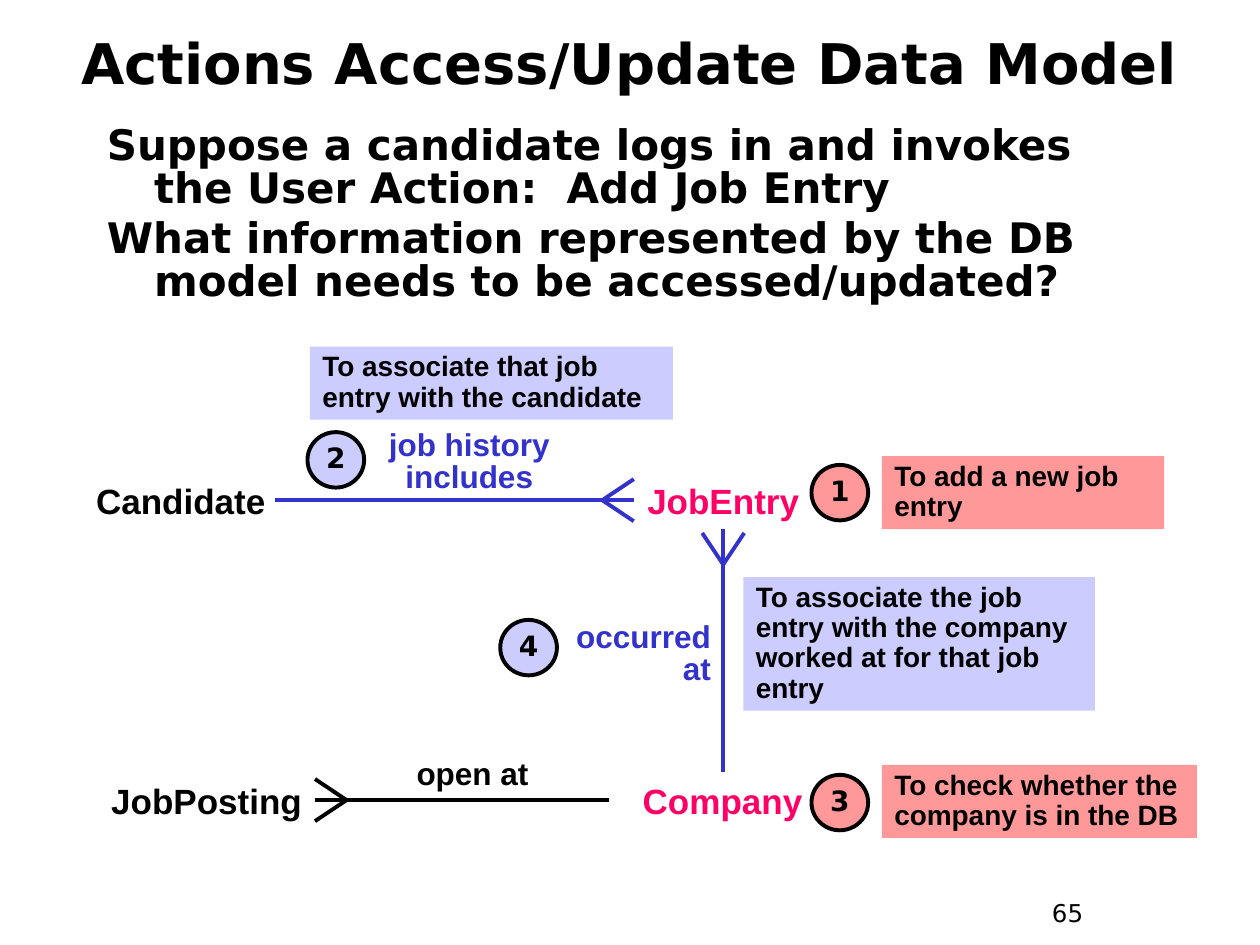
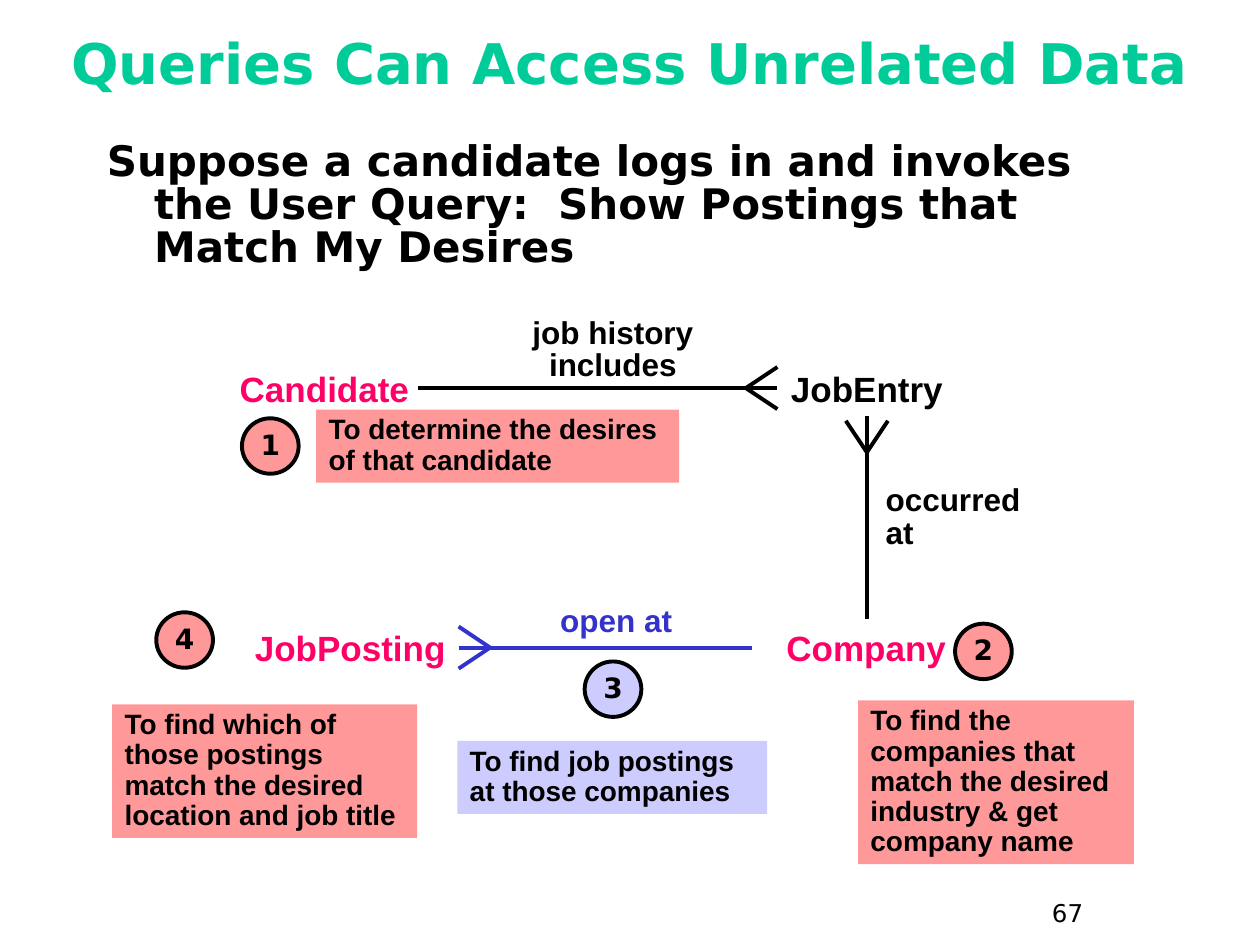
from dataclasses import dataclass
from typing import NamedTuple, Optional

from lxml import etree
from pptx import Presentation, util as u
from pptx.dml.color import RGBColor
from pptx.enum import shapes, text
from pptx.oxml import ns

# The slide is a grid of 100 columns by 75 rows; all lengths count cells.
SLIDE_WIDTH = u.Inches(10)
SLIDE_HEIGHT = u.Inches(7.5)
CELL = SLIDE_WIDTH / 100
INSET_X, INSET_Y = 1, 0.5
LEFT, CENTER, RIGHT = text.PP_ALIGN.LEFT, text.PP_ALIGN.CENTER, text.PP_ALIGN.RIGHT


class Box(NamedTuple):
    left: float
    top: float
    width: float
    height: float


class Point(NamedTuple):
    x: float
    y: float


@dataclass(frozen=True)
class TextStyle:
    size: float
    font: str = "Arial"
    bold: bool = True
    align: text.PP_ALIGN = LEFT
    line_spacing: float = 1.0
    space_before: float = 0
    middle: bool = False
    wrap: bool = True
    hanging: float = 0


@dataclass(frozen=True)
class Theme:
    ink: str = "000000"
    paper: str = "FFFFFF"
    accent_title: str = "00CC99"
    entity_used: str = "FF0066"
    link_used: str = "3333CC"
    entity_note: str = "FF9999"
    link_note: str = "CCCCFF"
    line_width: float = 2.25
    title: TextStyle = TextStyle(32, "DejaVu Sans", align=CENTER, middle=True)
    body: TextStyle = TextStyle(24, "DejaVu Sans", line_spacing=0.85,
                                space_before=4.5, hanging=3.75)
    page: TextStyle = TextStyle(14, "DejaVu Sans", bold=False, space_before=8.8)
    entity: TextStyle = TextStyle(20, align=CENTER, space_before=12.5,
                                  middle=True, wrap=False)
    label: TextStyle = TextStyle(18, align=CENTER, line_spacing=0.85, space_before=11.2)
    label_left: TextStyle = TextStyle(18, line_spacing=0.85, space_before=11.2)
    label_right: TextStyle = TextStyle(18, align=RIGHT, line_spacing=0.85,
                                       space_before=11.2)
    badge: TextStyle = TextStyle(16, "DejaVu Sans", align=CENTER, line_spacing=0.9,
                                 middle=True, wrap=False)
    note: TextStyle = TextStyle(16, line_spacing=0.9, space_before=10)


THEME = Theme()


@dataclass(frozen=True)
class Step:
    """A numbered badge with the note that explains it."""
    number: int
    badge: Point
    note: Box
    reason: str
    on_link: bool = False


@dataclass(frozen=True)
class DataModel:
    """Placement of the entity diagram and the names it highlights."""
    left: float
    top_axis: float
    bottom_axis: float
    occurred_box: Box
    occurred_style: TextStyle
    used: frozenset[str]


@dataclass(frozen=True)
class ModelSlide:
    title: str
    title_color: str
    body_box: Box
    body: tuple[str, ...]
    model: DataModel
    steps: tuple[Step, ...]
    page: int


def cells(count: float) -> u.Emu:
    return u.Emu(round(count * CELL))


def write(shape, content: tuple[str, ...], style: TextStyle, color: str) -> None:
    """Fill a shape with paragraphs; a newline becomes a line break."""
    frame = shape.text_frame
    frame.word_wrap = style.wrap
    frame.margin_left = frame.margin_right = cells(INSET_X)
    frame.margin_top = frame.margin_bottom = cells(INSET_Y)
    anchor = text.MSO_ANCHOR
    frame.vertical_anchor = anchor.MIDDLE if style.middle else anchor.TOP
    for index, words in enumerate(content):
        paragraph = frame.add_paragraph() if index else frame.paragraphs[0]
        paragraph.alignment = style.align
        paragraph.line_spacing = style.line_spacing
        paragraph.space_before = u.Pt(style.space_before)
        if style.hanging:
            properties = paragraph._p.get_or_add_pPr()
            properties.set("marL", str(cells(style.hanging)))
            properties.set("indent", str(-cells(style.hanging)))
        for number, line in enumerate(words.split("\n")):
            if number:
                paragraph.add_line_break()
            run = paragraph.add_run()
            run.text = line
            run.font.name = style.font
            run.font.size = u.Pt(style.size)
            run.font.bold = style.bold
            run.font.color.rgb = RGBColor.from_string(color)


def add_text(slide, box: Box, content: tuple[str, ...], style: TextStyle,
             color: str = THEME.ink) -> None:
    write(slide.shapes.add_textbox(*map(cells, box)), content, style, color)


def add_filled(slide, kind: shapes.MSO_SHAPE, box: Box, words: str, style: TextStyle,
               fill: str, color: str = THEME.ink, outline: Optional[str] = None) -> None:
    shape = slide.shapes.add_shape(kind, *map(cells, box))
    shape.shadow.inherit = False
    shape.fill.solid()
    shape.fill.fore_color.rgb = RGBColor.from_string(fill)
    if outline:
        shape.line.color.rgb = RGBColor.from_string(outline)
        shape.line.width = u.Pt(THEME.line_width)
    else:
        shape.line.fill.background()
    write(shape, (words,), style, color)


def add_line(slide, start: Point, end: Point, color: str) -> None:
    line = slide.shapes.add_connector(shapes.MSO_CONNECTOR.STRAIGHT,
                                      *map(cells, (*start, *end)))
    line.line.color.rgb = RGBColor.from_string(color)
    line.line.width = u.Pt(THEME.line_width)
    etree.SubElement(line._element.spPr, ns.qn("a:effectLst"))


def add_crow_foot(slide, tip: Point, direction: Point, color: str) -> None:
    """Two toes that spread from the tip along a unit direction."""
    length, spread = 2.5, 1.67
    for side in (-spread, spread):
        toe = Point(tip.x + direction.x * length + direction.y * side,
                    tip.y + direction.y * length + direction.x * side)
        add_line(slide, tip, toe, color)


def draw_model(slide, model: DataModel) -> None:
    left, top, bottom = model.left, model.top_axis, model.bottom_axis

    # Entities
    entities = {
        "Candidate": Box(left, top - 2.25, 14.9, 4.5),
        "JobPosting": Box(left + 0.9, bottom - 2.8, 17.2, 5.6),
        "JobEntry": Box(left + 43.4, top - 2.25, 14.2, 4.5),
        "Company": Box(left + 41.4, bottom - 2.25, 18.1, 4.5),
    }
    for name, box in entities.items():
        color = THEME.entity_used if name in model.used else THEME.ink
        add_filled(slide, shapes.MSO_SHAPE.RECTANGLE, box, name, THEME.entity,
                   THEME.paper, color)

    # Relationships: start, end, crow's foot tip and direction, label
    candidate, posting, entry, company = entities.values()
    entry_x = entry.left + entry.width / 2
    posting_edge = posting.left + posting.width
    links = (
        (Point(candidate.left + candidate.width, top), Point(entry.left, top),
         Point(entry.left - 2.5, top), Point(1, 0),
         "job history includes", Box(left + 18.7, top - 6, 23.3, 6.1), THEME.label),
        (Point(posting_edge, bottom), Point(company.left, bottom),
         Point(posting_edge + 2.5, bottom), Point(-1, 0),
         "open at", Box(left + 22, bottom - 3.7, 17.2, 3.6), THEME.label),
        (Point(entry_x, top + 2.25), Point(entry_x, company.top),
         Point(entry_x, top + 5.1), Point(0, -1),
         "occurred\nat", model.occurred_box, model.occurred_style),
    )
    for start, end, tip, direction, label, box, style in links:
        color = THEME.link_used if label in model.used else THEME.ink
        add_line(slide, start, end, color)
        add_crow_foot(slide, tip, direction, color)
        add_text(slide, box, (label,), style, color)


def draw_step(slide, step: Step) -> None:
    fill = THEME.link_note if step.on_link else THEME.entity_note
    add_filled(slide, shapes.MSO_SHAPE.OVAL, Box(*step.badge, 4.5, 4.4),
               str(step.number), THEME.badge, fill, outline=THEME.ink)
    add_filled(slide, shapes.MSO_SHAPE.RECTANGLE, step.note, step.reason,
               THEME.note, fill)


def draw_slide(presentation, content: ModelSlide) -> None:
    slide = presentation.slides.add_slide(presentation.slide_layouts[6])
    add_text(slide, Box(82.5, 70.8, 7.5, 3.7), (str(content.page),), THEME.page)
    add_text(slide, Box(3.33, 0.8, 93.33, 8.3), (content.title,), THEME.title,
             content.title_color)
    add_text(slide, content.body_box, content.body, THEME.body)
    draw_model(slide, content.model)
    for step in content.steps:
        draw_step(slide, step)


SLIDES = (
    ModelSlide(
        "Actions Access/Update Data Model", THEME.ink,
        Box(7.5, 9.5, 85, 55.8),
        ("Suppose a candidate logs in and invokes\nthe User Action:  Add Job Entry",
         "What information represented by the DB model needs to be accessed/updated?"),
        DataModel(6.9, 39.7, 63.5, Box(42.5, 48.9, 14.9, 6.1), THEME.label_right,
                  frozenset({"JobEntry", "Company", "job history includes",
                             "occurred\nat"})),
        (Step(2, Point(24.4, 34.3), Box(24.6, 27.5, 28.8, 5.8),
              "To associate that job entry with the candidate", on_link=True),
         Step(1, Point(64.4, 36.9), Box(70, 36.2, 22.4, 5.8),
              "To add a new job entry"),
         Step(4, Point(39.7, 49.2), Box(59, 45.8, 27.9, 10.6),
              "To associate the job entry with the company worked at for that job entry",
              on_link=True),
         Step(3, Point(64.4, 61.5), Box(70, 60.7, 25, 5.8),
              "To check whether the company is in the DB")),
        65),
    ModelSlide(
        "Queries Can Access Unrelated Data", THEME.accent_title,
        Box(7.5, 10.8, 85, 13.3),
        ("Suppose a candidate logs in and invokes\n"
         "the User Query:  Show Postings that Match My Desires",),
        DataModel(18.3, 30.8, 51.4, Box(69.3, 38.1, 14.9, 6.1), THEME.label_left,
                  frozenset({"Candidate", "JobPosting", "Company", "open at"})),
        (Step(1, Point(19.2, 33.2), Box(25.1, 32.5, 28.8, 5.8),
              "To determine the desires of that candidate"),
         Step(4, Point(12.4, 48.6), Box(8.9, 55.9, 24.2, 10.6),
              "To find which of those postings match the desired location and job title"),
         Step(3, Point(46.4, 52.5), Box(36.3, 58.8, 24.6, 5.8),
              "To find job postings at those companies", on_link=True),
         Step(2, Point(75.8, 49.5), Box(68.1, 55.6, 21.9, 13),
              "To find the companies that match the desired industry & get company name")),
        67),
)


def main() -> None:
    presentation = Presentation()
    presentation.slide_width, presentation.slide_height = SLIDE_WIDTH, SLIDE_HEIGHT
    for content in SLIDES:
        draw_slide(presentation, content)
    presentation.save("out.pptx")


if __name__ == "__main__":
    main()
